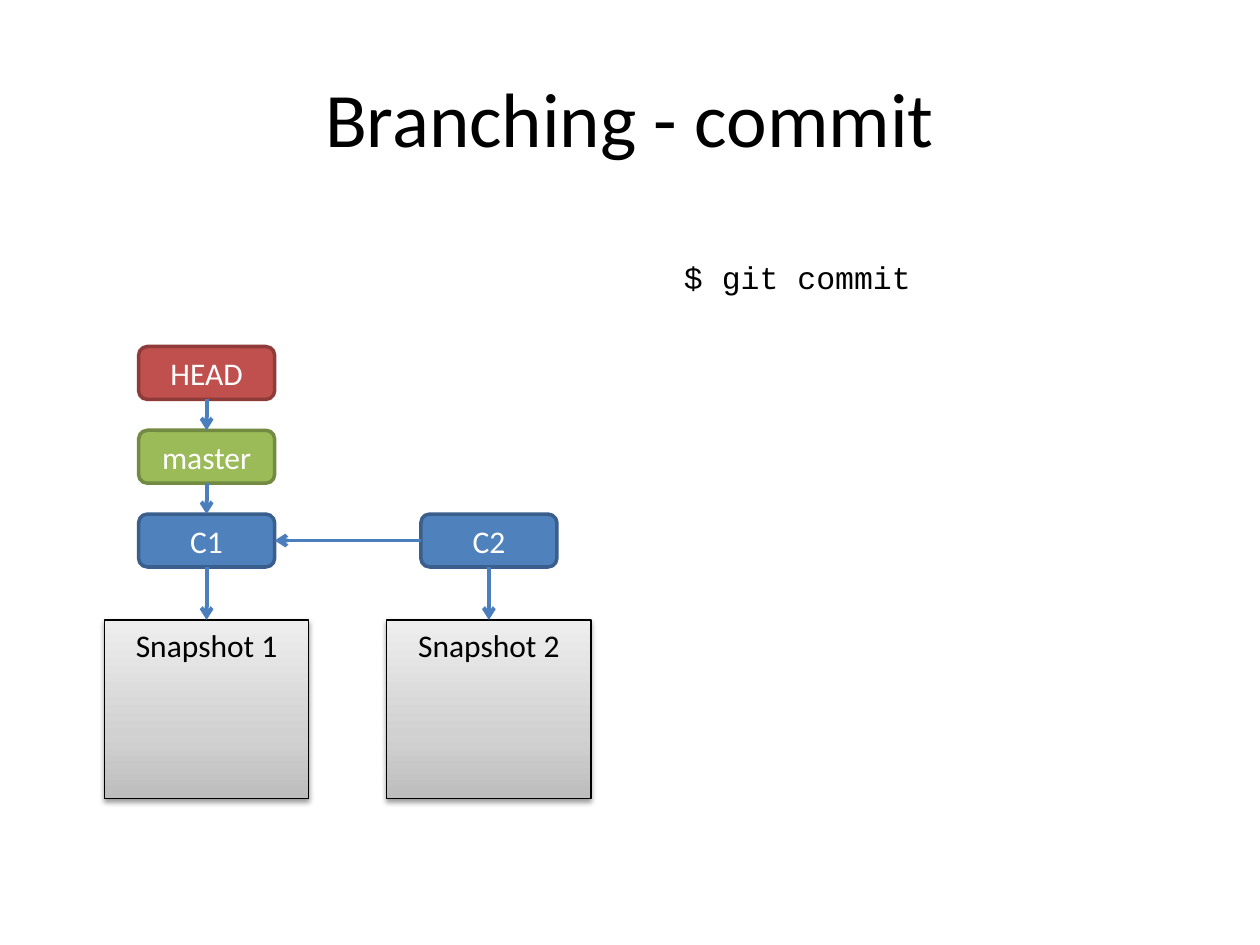
from copy import deepcopy
from pptx import Presentation, util as u
from pptx.dml.color import RGBColor
from pptx.enum import shapes, text
from pptx.oxml import parse_xml
from pptx.oxml.ns import nsdecls, qn

HUE = {"blue": "4F81BD", "navy": "3A5F8C", "green": "9BBB59", "moss": "738A42",
       "red": "C0504D", "wine": "8E3B39", "arrow": "4B7EBC",
       "black": "000000", "white": "FFFFFF",
       "low": "BDBDBD", "mid": "D1D1D1", "high": "EEEEEE"}
SHADE = [(0, "low"), (0.35, "mid"), (1, "high")]

# Grid: two columns by their centres, three rows of labels by their tops
COLS = [1.64, 1.64 + 2.24]
ROWS = [2.75 + 0.665 * n for n in range(3)]
TAG = (1.08, 0.42)
SNAP = (1.62, 1.42)
TOP, LEFT, FOOT, RIGHT = range(4)


def rgb(name):
    return RGBColor.from_string(HUE[name])


def box(kind, mid, top, size, label, line, width, ink):
    wide, high = size
    shp = slide.shapes.add_shape(kind, u.Inches(mid - wide / 2), u.Inches(top),
                                 u.Inches(wide), u.Inches(high))
    shp.shadow.inherit = False
    shp.line.color.rgb = rgb(line)
    shp.line.width = u.Pt(width)
    par = shp.text_frame.paragraphs[0]
    par.text = label
    par.alignment = text.PP_ALIGN.CENTER
    par.font.size, par.font.name = u.Pt(18), "Calibri"
    par.font.color.rgb = rgb(ink)
    return shp


prs = Presentation()
prs.slide_width, prs.slide_height = u.Inches(10), u.Inches(7.5)
slide = prs.slides.add_slide(prs.slide_layouts[5])

# Title
title = slide.shapes.title
title.left, title.top = int(prs.slide_width * 0.05), int(prs.slide_height * 0.04)
title.width, title.height = int(prs.slide_width * 0.9), u.Inches(1.25)
title.text_frame.vertical_anchor = text.MSO_ANCHOR.MIDDLE
head = title.text_frame.paragraphs[0]
head.text = "Branching - commit"
head.alignment = text.PP_ALIGN.CENTER
head.font.size, head.font.name = u.Pt(44), "Calibri"
head.font.color.rgb = rgb("black")

# Refs and commits
made = {}
for label, col, row, fill, line in [("C1", 0, 2, "blue", "navy"),
                                    ("C2", 1, 2, "blue", "navy"),
                                    ("master", 0, 1, "green", "moss"),
                                    ("HEAD", 0, 0, "red", "wine")]:
    tag = box(shapes.MSO_SHAPE.ROUNDED_RECTANGLE, COLS[col], ROWS[row], TAG,
              label, line, 2, "white")
    tag.fill.solid()
    tag.fill.fore_color.rgb = rgb(fill)
    tag.text_frame.vertical_anchor = text.MSO_ANCHOR.MIDDLE
    made[label] = tag

# Snapshots with a three-stop gradient and a soft shadow
for num, mid in enumerate(COLS, 1):
    label = f"Snapshot {num}"
    snap = box(shapes.MSO_SHAPE.RECTANGLE, mid, 4.92, SNAP, label, "black", 0.75, "black")
    snap.text_frame.vertical_anchor = text.MSO_ANCHOR.TOP
    snap.fill.gradient()
    snap.fill.gradient_angle = 90
    prop = snap._element.spPr
    stops = prop.find(qn("a:gradFill")).find(qn("a:gsLst"))
    stops.insert(1, deepcopy(stops[0]))
    for stop, (pos, name) in zip(snap.fill.gradient_stops, SHADE):
        stop.position = pos
        stop.color.rgb = rgb(name)
    prop.find(qn("a:effectLst")).append(parse_xml(
        f'<a:outerShdw {nsdecls("a")} blurRad="{u.Pt(3.1)}" dist="{u.Pt(1.6)}" '
        f'dir="5400000" rotWithShape="0"><a:srgbClr val="{HUE["black"]}">'
        '<a:alpha val="38000"/></a:srgbClr></a:outerShdw>'))
    made[label] = snap

# Arrows
for src, out, dst, into in [("C2", LEFT, "C1", RIGHT),
                            ("C1", FOOT, "Snapshot 1", TOP),
                            ("C2", FOOT, "Snapshot 2", TOP),
                            ("HEAD", FOOT, "master", TOP),
                            ("master", FOOT, "C1", TOP)]:
    link = slide.shapes.add_connector(shapes.MSO_CONNECTOR.STRAIGHT, 0, 0, 0, 0)
    link.begin_connect(made[src], out)
    link.end_connect(made[dst], into)
    link.line.color.rgb = rgb("arrow")
    link.line.width = u.Pt(2.25)
    link.line._get_or_add_ln().append(
        parse_xml(f'<a:tailEnd {nsdecls("a")} type="arrow"/>'))
    link._element.spPr.append(parse_xml(f'<a:effectLst {nsdecls("a")}/>'))

# Command
note = slide.shapes.add_textbox(u.Inches(5.33), u.Inches(2), u.Inches(2.01), u.Inches(0.4))
note.text_frame.word_wrap = False
note.text_frame.auto_size = text.MSO_AUTO_SIZE.SHAPE_TO_FIT_TEXT
code = note.text_frame.paragraphs[0]
code.text = "$ git commit"
code.font.size, code.font.name = u.Pt(18), "Courier New"
code.font.color.rgb = rgb("black")

prs.save("out.pptx")
